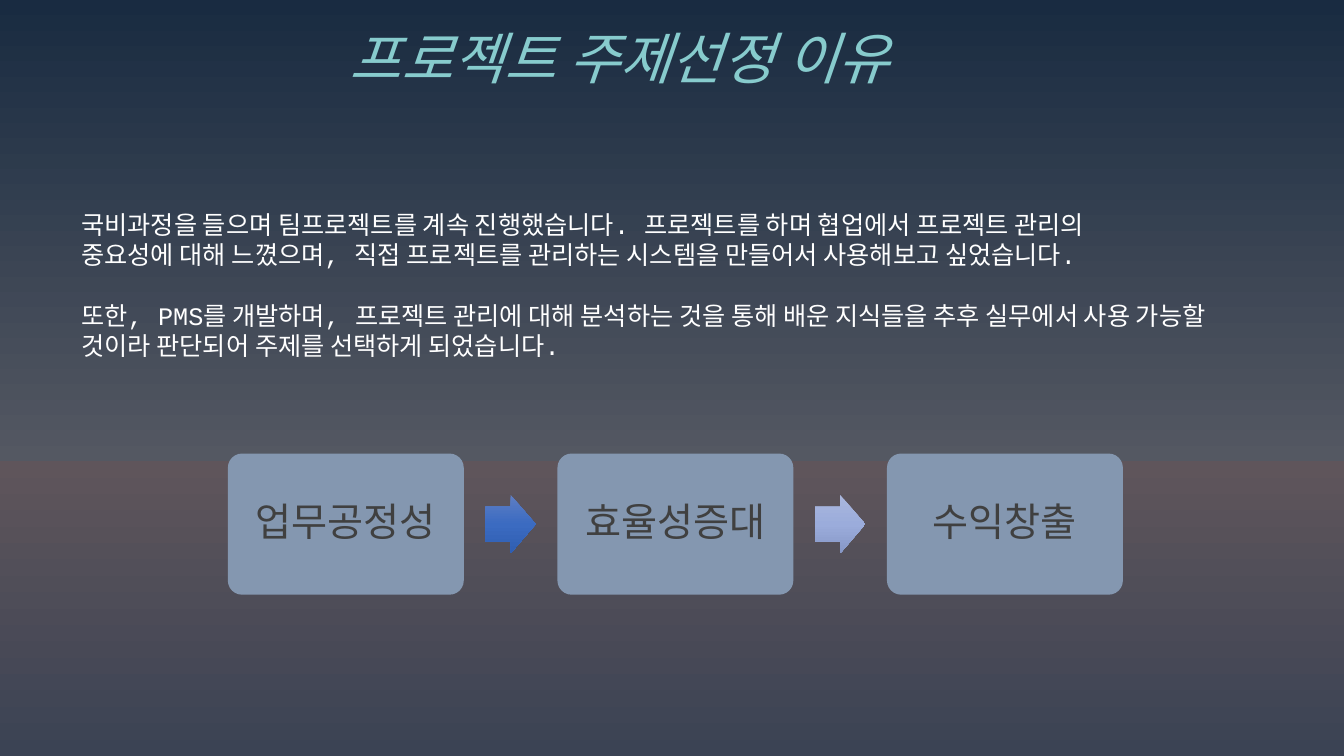
from lxml import etree
from pptx import Presentation
from pptx.dml.color import RGBColor
from pptx.enum import shapes, text
from pptx.oxml.ns import qn
from pptx.util import Pt

# Content
TITLE = "프로젝트 주제선정 이유"
REASONS = [  # text, space before
    ("국비과정을 들으며 팀프로젝트를 계속 진행했습니다. 프로젝트를 하며 협업에서 프로젝트 관리의", 0),
    ("중요성에 대해 느꼈으며, 직접 프로젝트를 관리하는 시스템을 만들어서 사용해보고 싶었습니다.", 0),
    ("또한, PMS를 개발하며, 프로젝트 관리에 대해 분석하는 것을 통해 배운 지식들을 추후 실무에서 "
     "사용 가능할 것이라 판단되어 주제를 선택하게 되었습니다.", 21.6),
]
MONO, SANS = "Courier New", "Noto Sans CJK KR"
STEPS = [("업무공정성", MONO), ("효율성증대", SANS), ("수익창출", SANS)]

# Colours
BACKGROUND = [(0, "192B41"), (61, "545862"), (61, "5F555B"), (100, "3B4354")]
ARROWS = [
    [(0, "5E7EC4"), (50, "3B6BC1"), (100, "2F5EB1")],
    [(0, "AAB7DD"), (50, "9BACDB"), (100, "8697C6")],
]

# Layout in points
STEP_X, STEP_Y, STEP_W, STEP_H, STEP_PITCH = 162.8, 324, 168.5, 100.8, 235.4
ARROW_W, ARROW_H = 36, 41.8


def rgb(value):
    return RGBColor.from_string(value)


def box(x, y, w, h):
    return [Pt(v) for v in (x, y, w, h)]


def fill_gradient(fill, element, stops):
    """Fill from top to bottom with any number of stops."""
    fill.gradient()
    fill.gradient_angle = 270
    gs_list = next(element.iter(qn("a:gsLst")))
    for gs in list(gs_list):
        gs_list.remove(gs)
    for percent, color in stops:
        gs = etree.SubElement(gs_list, qn("a:gs"), pos=str(percent * 1000))
        etree.SubElement(gs, qn("a:srgbClr"), val=color)


def add_run(p, content, color, **font):
    r = p.add_run()
    r.text = content
    r.font.color.rgb = rgb(color)
    for name, value in font.items():
        setattr(r.font, name, value)
    etree.SubElement(r.font._element, qn("a:ea"), typeface=SANS)


def add_plain_shape(slide, kind, bounds, adjustments):
    sp = slide.shapes.add_shape(kind, *bounds)
    sp.shadow.inherit = False
    sp.line.fill.background()
    for i, value in enumerate(adjustments):
        sp.adjustments[i] = value
    return sp


def main():
    prs = Presentation()
    prs.slide_width, prs.slide_height = Pt(960), Pt(540)
    slide = prs.slides.add_slide(prs.slide_layouts[5])
    fill_gradient(slide.background.fill, slide.element, BACKGROUND)

    # Title
    title = slide.shapes.title
    title.left, title.top, title.width, title.height = box(242.6, 13, 446.4, 55.4)
    tf = title.text_frame
    tf.vertical_anchor = text.MSO_ANCHOR.TOP
    tf.auto_size = text.MSO_AUTO_SIZE.NONE
    p = tf.paragraphs[0]
    p.alignment = text.PP_ALIGN.LEFT
    add_run(p, TITLE, "87CBCD", name=MONO, size=Pt(40), italic=True)

    # Reasons
    tf = slide.shapes.add_textbox(*box(51.1, 146, 861.8, 116.5)).text_frame
    tf.word_wrap = True
    for i, (reason, gap) in enumerate(REASONS):
        p = tf.add_paragraph() if i else tf.paragraphs[0]
        p.space_before = Pt(gap)
        add_run(p, reason, "FFFFFF", name=MONO, size=Pt(18))

    # Steps
    for i, (label, font) in enumerate(STEPS):
        bounds = box(STEP_X + i * STEP_PITCH, STEP_Y, STEP_W, STEP_H)
        sp = add_plain_shape(slide, shapes.MSO_SHAPE.ROUNDED_RECTANGLE, bounds, [0.1])
        sp.fill.solid()
        sp.fill.fore_color.rgb = rgb("8497B0")
        tf = sp.text_frame
        tf.word_wrap = True
        tf.vertical_anchor = text.MSO_ANCHOR.MIDDLE
        for side in ("left", "top", "right", "bottom"):
            setattr(tf, f"margin_{side}", Pt(8.6))
        p = tf.paragraphs[0]
        p.alignment = text.PP_ALIGN.CENTER
        p.line_spacing = 0.9
        add_run(p, label, "404040", name=font, size=Pt(28))

    # Arrows, centred in the gaps between steps
    for i, stops in enumerate(ARROWS):
        x = STEP_X + i * STEP_PITCH + (STEP_W + STEP_PITCH - ARROW_W) / 2
        y = STEP_Y + (STEP_H - ARROW_H) / 2
        sp = add_plain_shape(slide, shapes.MSO_SHAPE.RIGHT_ARROW,
                             box(x, y, ARROW_W, ARROW_H), [0.6, 0.5])
        fill_gradient(sp.fill, sp.element, stops)

    prs.save("out.pptx")


if __name__ == "__main__":
    main()
